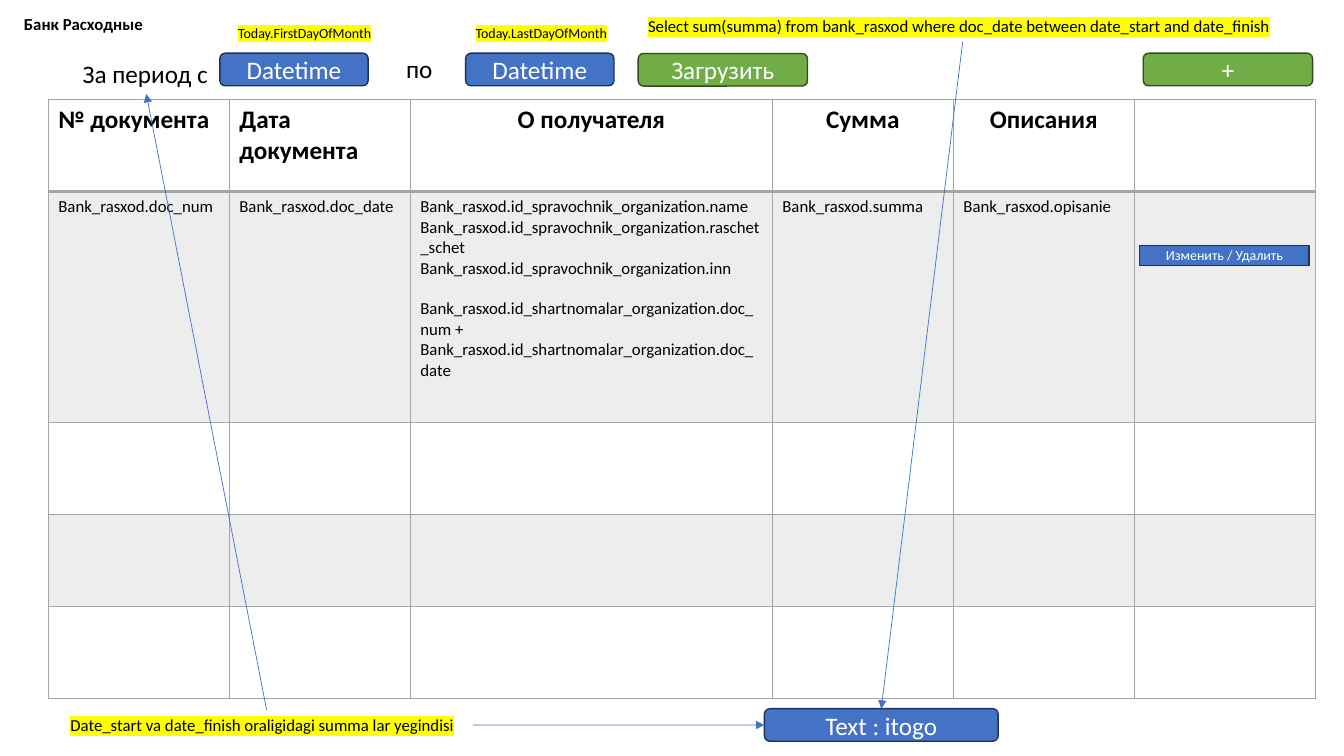
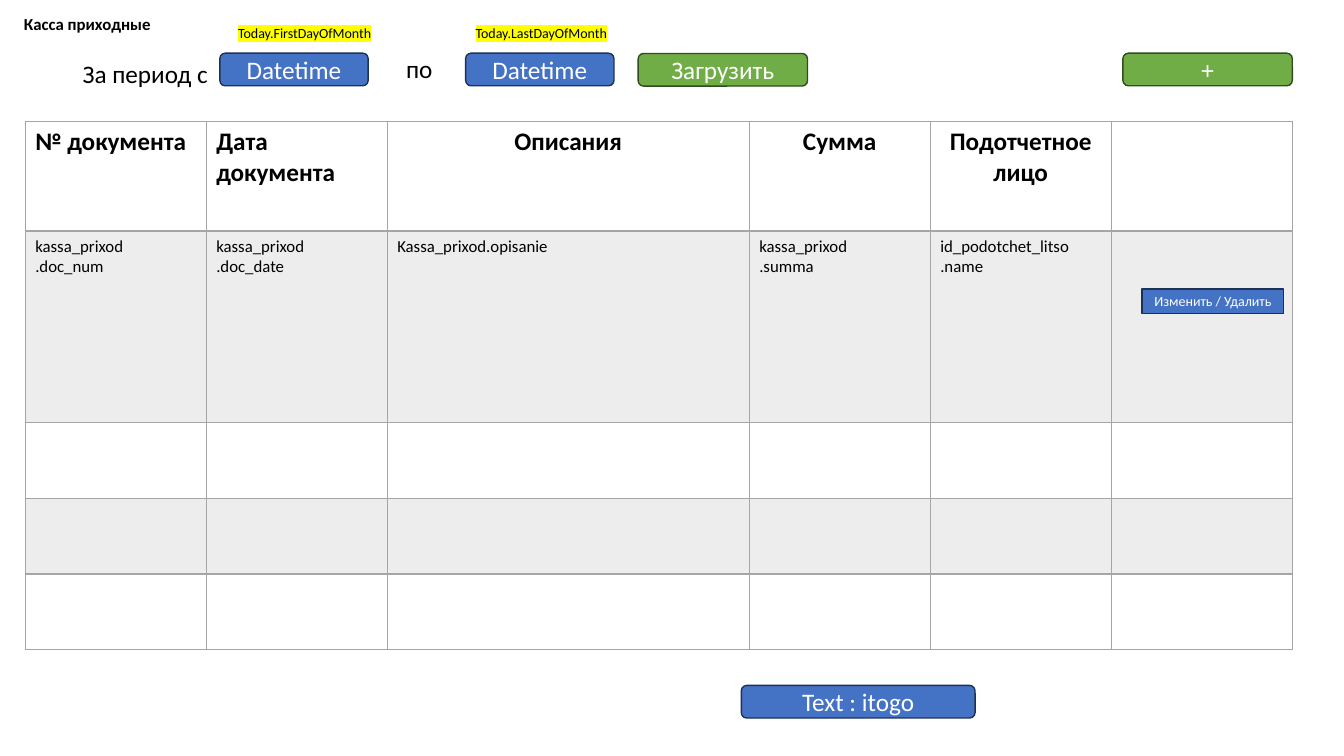
from dataclasses import dataclass

import pptx
import pptx.dml.color
import pptx.enum.dml
import pptx.enum.shapes
import pptx.enum.text
import pptx.oxml
import pptx.oxml.ns
import pptx.util
from lxml import etree

Pt = pptx.util.Pt
SHAPES = pptx.enum.shapes.MSO_SHAPE
ALIGN = pptx.enum.text.PP_ALIGN
TOP, LEFT, BOTTOM, RIGHT = range(4)  # connection sites of a rectangle


@dataclass(frozen=True)
class Theme:
    font: str = "Calibri"
    text: str = "000000"
    inverse: str = "FFFFFF"
    blue: str = "4472C4"
    blue_edge: str = "1E3256"
    green: str = "70AD47"
    green_edge: str = "314C1F"
    grid: str = "A5A5A5"
    band: str = "EDEDED"
    highlight: str = "FFFF00"
    large: int = 18
    body: int = 12
    small: int = 10


@dataclass(frozen=True)
class Box:
    left: float
    top: float
    width: float
    height: float

    @property
    def right(self):
        return self.left + self.width

    @property
    def bottom(self):
        return self.top + self.height

    def inner(self, left, top, width, height):
        return Box(self.left + left, self.top + top, width, height)

    def points(self):
        return [Pt(v) for v in (self.left, self.top, self.width, self.height)]


THEME = Theme()
COLUMNS = [129.3, 129.3, 258.6, 129.3, 129.3, 129.3]
TABLE_WIDTH = sum(COLUMNS)
FILTER_BAR = Box(52, 13.7, 526, 54)


def rgb(value):
    return pptx.dml.color.RGBColor.from_string(value)


def add_xml(parent, tag, **attributes):
    return etree.SubElement(parent, pptx.oxml.ns.qn(tag), attributes)


def style_para(para, size, color=THEME.text, bold=False, align=ALIGN.LEFT):
    para.alignment = align
    para.font.name = THEME.font
    para.font.size = Pt(size)
    para.font.bold = bold
    para.font.color.rgb = rgb(color)


# Basic parts
def add_label(page, box, text, size=THEME.body, bold=False, marked=False):
    label = page.shapes.add_textbox(*box.points())
    frame = label.text_frame
    frame.word_wrap = False
    frame.auto_size = pptx.enum.text.MSO_AUTO_SIZE.SHAPE_TO_FIT_TEXT
    para = frame.paragraphs[0]
    span = para.add_run()
    span.text = text
    style_para(para, size, bold=bold)
    if marked:
        highlight = add_xml(span.font._element, "a:highlight")
        add_xml(highlight, "a:srgbClr", val=THEME.highlight)
    return label


def add_button(page, box, text, fill=THEME.blue, edge=THEME.blue_edge,
               size=THEME.large, outline=SHAPES.ROUNDED_RECTANGLE):
    button = page.shapes.add_shape(outline, *box.points())
    button.shadow.inherit = False
    button.fill.solid()
    button.fill.fore_color.rgb = rgb(fill)
    button.line.color.rgb = rgb(edge)
    button.line.width = Pt(1)
    frame = button.text_frame
    frame.word_wrap = True
    frame.vertical_anchor = pptx.enum.text.MSO_ANCHOR.MIDDLE
    frame.text = text
    style_para(frame.paragraphs[0], size, THEME.inverse, align=ALIGN.CENTER)
    return button


def add_green_button(page, box, text):
    return add_button(page, box, text, THEME.green, THEME.green_edge)


def add_arrow(page, source, source_site, target, target_site):
    arrow = page.shapes.add_connector(
        pptx.enum.shapes.MSO_CONNECTOR.STRAIGHT, 0, 0, 0, 0)
    arrow.begin_connect(source, source_site)
    arrow.end_connect(target, target_site)
    arrow.line.color.rgb = rgb(THEME.blue)
    arrow.line.width = Pt(0.5)
    add_xml(arrow.line._get_or_add_ln(), "a:tailEnd", type="triangle")
    add_xml(arrow._element.spPr, "a:effectLst")


# Date range and load button
def add_filter_bar(page, box):
    dates = [(105, 111, 113, "Today.FirstDayOfMonth"),
             (280.6, 280.6, 111.6, "Today.LastDayOfMonth")]
    for field_left, hint_left, hint_width, hint in dates:
        add_button(page, box.inner(field_left, 24.3, 106, 23.3), "Datetime")
        add_label(page, box.inner(hint_left, 0, hint_width, 19.4), hint,
                  THEME.small, marked=True)
    add_label(page, box.inner(231, 21, 33.8, 29), "по", THEME.large)
    add_green_button(page, box.inner(403.8, 24.5, 121, 23.3), "Загрузить")
    return add_label(page, box.inner(0, 24.5, 105, 29), "За период с", THEME.large)


# Document table
def set_borders(cell, row):
    properties = cell._tc.get_or_add_tcPr()
    heavy = {("a:lnB", 0), ("a:lnT", 1)}  # rule under the header
    for tag in ("a:lnL", "a:lnR", "a:lnT", "a:lnB"):
        width = Pt(2 if (tag, row) in heavy else 1)
        border = add_xml(properties, tag, w=str(int(width)))
        add_xml(add_xml(border, "a:solidFill"), "a:srgbClr", val=THEME.grid)


def fill_cell(cell, row, column, text):
    set_borders(cell, row)
    if row % 2:
        cell.fill.solid()
        cell.fill.fore_color.rgb = rgb(THEME.band)
    else:
        cell.fill.background()
    if not text:
        return
    # A blank line in the text parts two groups of paragraphs
    frame = cell.text_frame
    groups = [group.split("\n") for group in text.split("\n\n")]
    frame.text = "\n".join(line for group in groups for line in group)
    header = row == 0
    align = ALIGN.CENTER if header and column > 1 else ALIGN.LEFT
    for para in frame.paragraphs:
        style_para(para, THEME.large if header else THEME.body,
                   bold=header, align=align)
    first = 0
    for group in groups[:-1]:
        first += len(group)
        frame.paragraphs[first].space_before = Pt(14.6)


def add_document_table(page, box, heights, headers, fields):
    table = page.shapes.add_table(len(heights), len(COLUMNS), *box.points()).table
    table.first_row = False
    table.horz_banding = False
    for column, width in zip(table.columns, COLUMNS):
        column.width = Pt(width)
    for row, height in zip(table.rows, heights):
        row.height = Pt(height)
    texts = {0: headers, 1: fields}
    for row in range(len(heights)):
        for column in range(len(COLUMNS)):
            line = texts.get(row, [])
            text = line[column] if column < len(line) else ""
            fill_cell(table.cell(row, column), row, column, text)


# Whole page: title, filters, table, actions and total
def add_register(deck, title, left, top, heights, headers, fields,
                 plus_inset, edit_offset, total_gap):
    page = deck.slides.add_slide(deck.slide_layouts[6])
    box = Box(left, top, TABLE_WIDTH, sum(heights))
    add_label(page, Box(10, 6, 106, 21.8), title, bold=True)
    period = add_filter_bar(page, FILTER_BAR)
    add_green_button(page, Box(box.right - plus_inset - 121, 38, 121, 23.3), "+")
    add_document_table(page, box, heights, headers, fields)
    action_cell = box.inner(TABLE_WIDTH - COLUMNS[-1], heights[0],
                            COLUMNS[-1], heights[1])
    add_button(page, action_cell.inner(*edit_offset), "Изменить / Удалить",
               size=THEME.small, outline=SHAPES.RECTANGLE)
    total = add_button(page, Box(box.left + 511.5, box.bottom + total_gap, 167, 23.3),
                       "Text : itogo")
    return page, period, total


# Notes that explain the total
def add_total_notes(page, period, total):
    query = add_label(
        page, Box(455.8, 8, 463.7, 21.8),
        "Select sum(summa) from bank_rasxod where doc_date between date_start and date_finish",
        marked=True)
    note = add_label(page, Box(43.2, 507, 294.5, 21.8),
                     "Date_start va date_finish oraligidagi summa lar yegindisi",
                     marked=True)
    add_arrow(page, note, RIGHT, total, LEFT)
    add_arrow(page, note, TOP, period, BOTTOM)
    add_arrow(page, query, BOTTOM, total, TOP)


def main():
    deck = pptx.Presentation()
    deck.slide_width, deck.slide_height = Pt(960), Pt(540)

    page, period, total = add_register(
        deck, "Банк Расходные", 34.5, 71.2, [65.7, 165.2] + [65.7] * 3,
        ["№ документа", "Дата документа", "О получателя", "Сумма", "Описания"],
        ["Bank_rasxod.doc_num",
         "Bank_rasxod.doc_date",
         "Bank_rasxod.id_spravochnik_organization.name\n"
         "Bank_rasxod.id_spravochnik_organization.raschet_schet\n"
         "Bank_rasxod.id_spravochnik_organization.inn\n\n"
         "Bank_rasxod.id_shartnomalar_organization.doc_num +\n"
         "Bank_rasxod.id_shartnomalar_organization.doc_date",
         "Bank_rasxod.summa",
         "Bank_rasxod.opisanie"],
        plus_inset=2, edit_offset=(3.7, 38.3, 121, 14.4), total_gap=7)
    add_total_notes(page, period, total)

    add_register(
        deck, "Касса приходные", 18, 86.7, [78.3, 136.8] + [54.1] * 3,
        ["№ документа", "Дата документа", "Описания", "Сумма", "Подотчетное лицо"],
        ["kassa_prixod\n.doc_num",
         "kassa_prixod\n.doc_date",
         "Kassa_prixod.opisanie",
         "kassa_prixod\n.summa",
         "id_podotchet_litso\n.name"],
        plus_inset=0, edit_offset=(22, 41.4, 101, 17.5), total_gap=25.5)

    deck.save("out.pptx")


if __name__ == "__main__":
    main()
